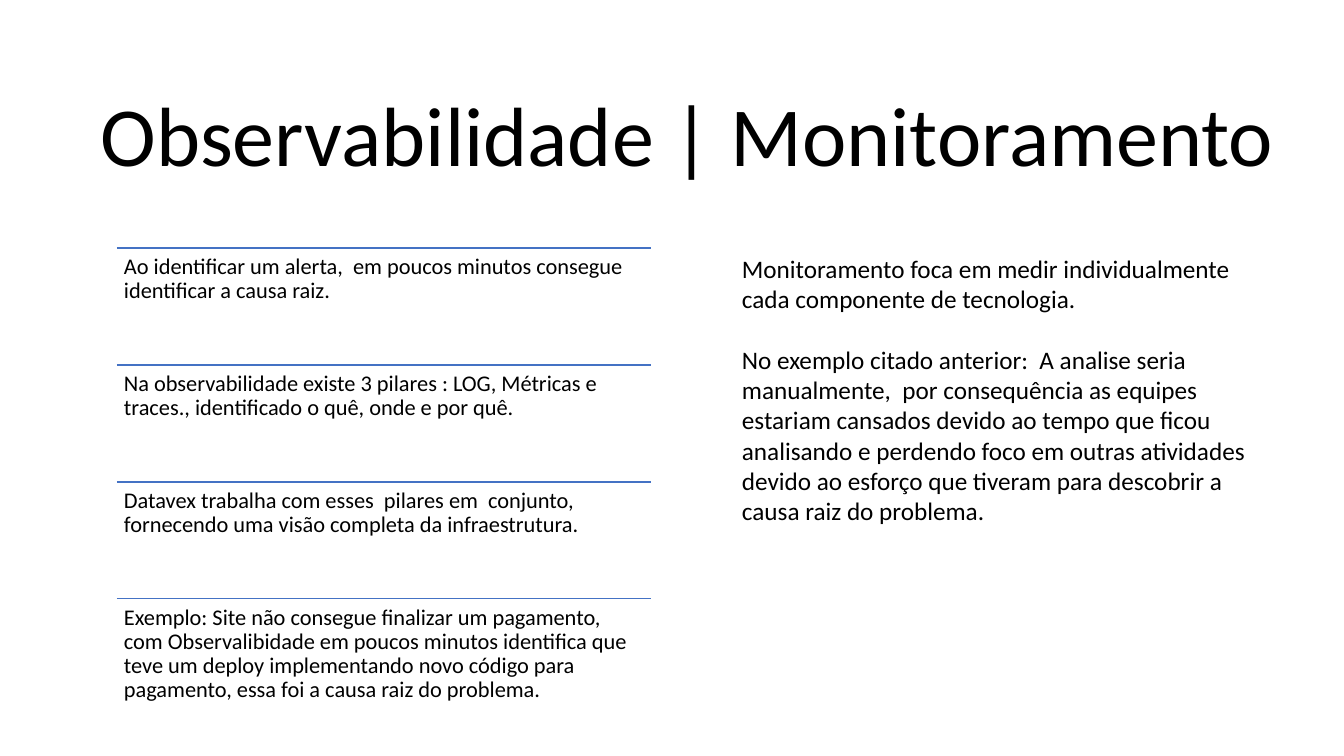
from lxml import etree
from pptx import Presentation
from pptx import util as u
from pptx.dml.color import RGBColor
from pptx.enum import shapes, text
from pptx.oxml.ns import qn

BLACK = RGBColor(0x00, 0x00, 0x00)
BLUE = RGBColor(0x44, 0x72, 0xC4)

OBSERVABILITY = [
    "Ao identificar um alerta,  em poucos minutos consegue identificar a causa raiz.",
    "Na observabilidade existe 3 pilares : LOG, Métricas e traces., "
    "identificado o quê, onde e por quê.",
    "Datavex trabalha com esses  pilares em  conjunto, "
    "fornecendo uma visão completa da infraestrutura.",
    "Exemplo: Site não consegue finalizar um pagamento, com Observalibidade "
    "em poucos minutos identifica que teve um deploy implementando novo código "
    "para pagamento, essa foi a causa raiz do problema.",
]
MONITORING = [
    "Monitoramento foca em medir individualmente cada componente de tecnologia.",
    "No exemplo citado anterior:  A analise seria  manualmente,  por consequência "
    "as equipes estariam cansados devido ao tempo que ficou analisando e perdendo "
    "foco em outras atividades devido ao esforço que tiveram para descobrir a "
    "causa raiz do problema.",
]


class Page:
    """Holds the text style and the current slide."""

    font = "Calibri"
    color = BLACK

    def __init__(self, deck):
        self.page = deck.slides.add_slide(deck.slide_layouts[5])

    def add_span(self, para, words, size, spacing=1.0):
        para.line_spacing = spacing
        span = para.add_run()
        span.text = words
        span.font.name = self.font
        span.font.size = u.Pt(size)
        span.font.color.rgb = self.color

    def title(self, words, left, top, width, height, size):
        box = self.page.shapes.title
        box.left, box.top = u.Inches(left), u.Inches(top)
        box.width, box.height = u.Inches(width), u.Inches(height)
        frame = box.text_frame
        frame.word_wrap = True
        frame.auto_size = text.MSO_AUTO_SIZE.NONE
        frame.vertical_anchor = text.MSO_ANCHOR.BOTTOM
        para = frame.paragraphs[0]
        para.alignment = text.PP_ALIGN.CENTER
        self.add_span(para, words, size, 0.9)

    def text_box(self, paragraphs, left, top, width, height, size,
                 spacing=1.0, gap=0, inset=None):
        box = self.page.shapes.add_textbox(
            u.Inches(left), u.Inches(top), u.Inches(width), u.Inches(height))
        frame = box.text_frame
        frame.word_wrap = True
        if inset is not None:
            frame.margin_left = frame.margin_right = u.Inches(inset)
            frame.margin_top = frame.margin_bottom = u.Inches(inset)
        for index, words in enumerate(paragraphs):
            para = frame.add_paragraph() if index else frame.paragraphs[0]
            if index:
                para.space_before = u.Pt(gap)
            self.add_span(para, words, size, spacing)

    def rule(self, left, top, width):
        line = self.page.shapes.add_connector(
            shapes.MSO_CONNECTOR.STRAIGHT, u.Inches(left), u.Inches(top),
            u.Inches(left + width), u.Inches(top))
        line.line.color.rgb = BLUE
        line.line.width = u.Pt(1)
        etree.SubElement(line._element.spPr, qn("a:effectLst"))


def main():
    deck = Presentation()
    deck.slide_width, deck.slide_height = u.Inches(13.33), u.Inches(7.5)
    page = Page(deck)

    # Title
    page.title("Observabilidade | Monitoramento ", 0.77, 0.86, 12.28, 1.02, 60)

    # Right column: monitoring
    page.text_box(MONITORING, 7.26, 2.46, 5.38, 2.83, 18, gap=22)

    # Left column: ruled rows on observability
    left, top, width, row_height = 1.16, 2.46, 5.3, 1.16
    for row, words in enumerate(OBSERVABILITY):
        row_top = top + row * row_height
        page.rule(left, row_top, width)
        page.text_box([words], left, row_top, width, row_height, 16,
                      spacing=0.9, inset=0.07)

    deck.save("out.pptx")


if __name__ == "__main__":
    main()
